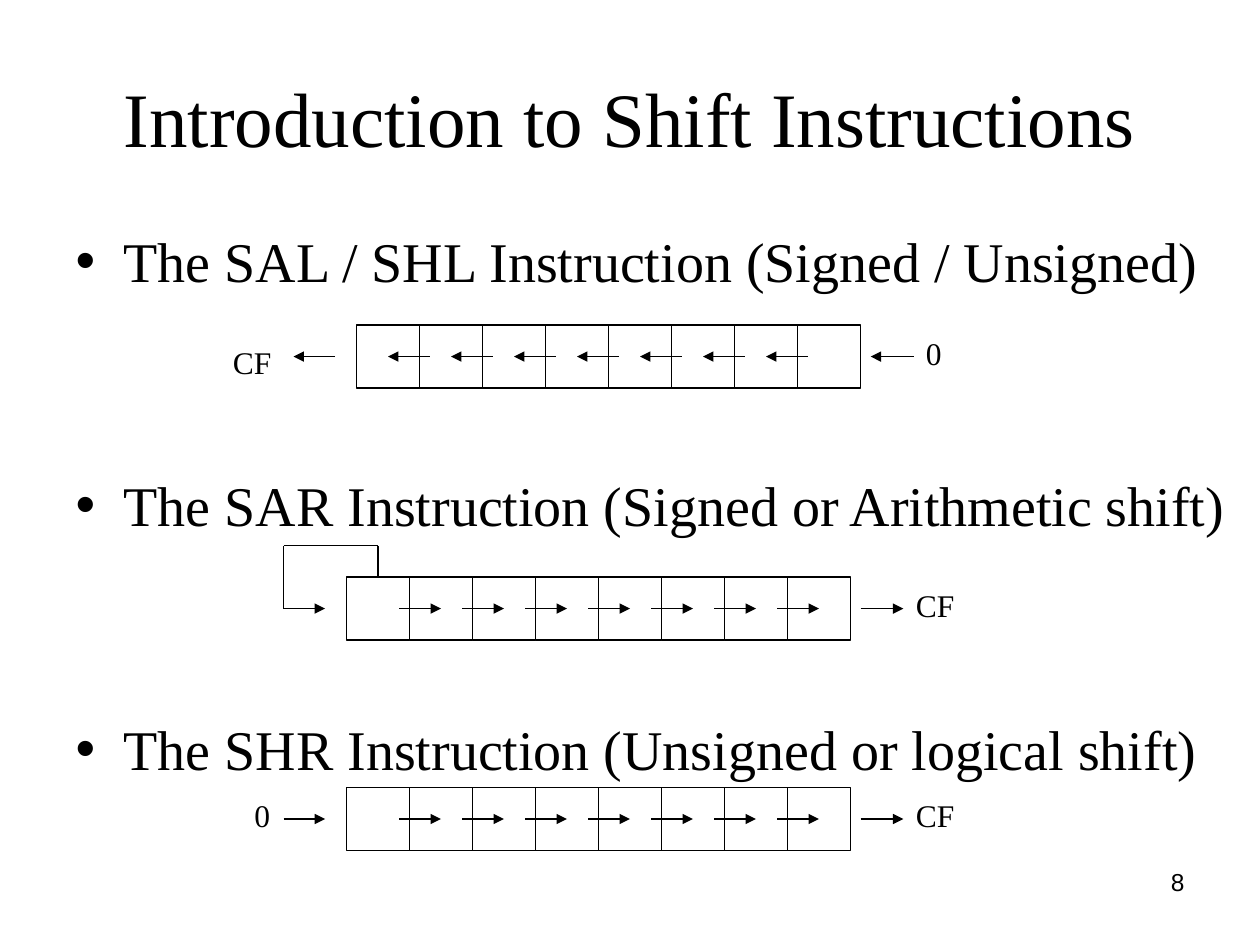
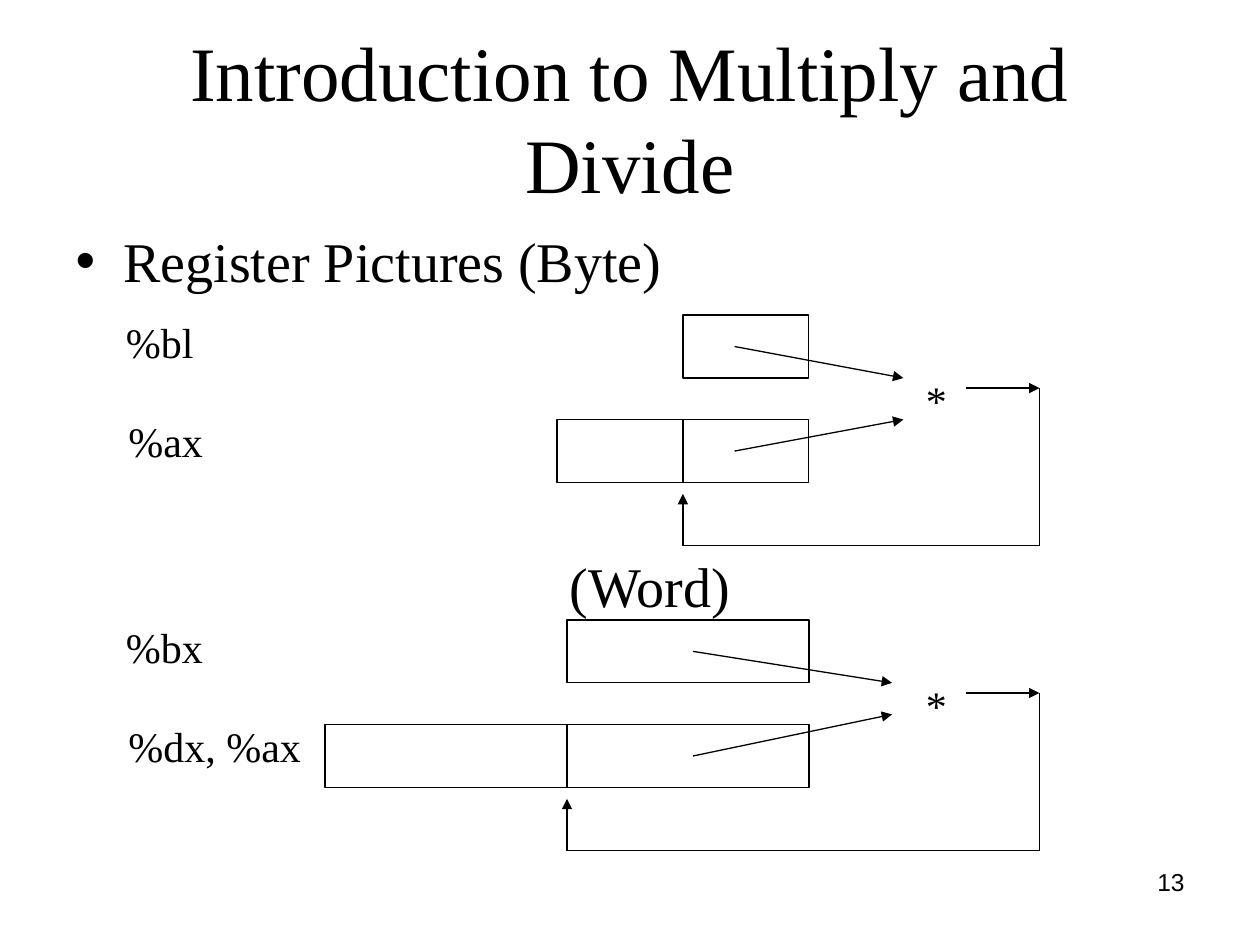
from dataclasses import dataclass

from lxml.etree import SubElement
from pptx import Presentation
from pptx.dml.color import RGBColor
from pptx.enum.shapes import MSO_CONNECTOR, MSO_SHAPE
from pptx.enum.text import MSO_ANCHOR, MSO_AUTO_SIZE, PP_ALIGN
from pptx.oxml.ns import qn
from pptx.util import Inches, Pt


@dataclass(frozen=True)
class Theme:
    ink: RGBColor = RGBColor(0, 0, 0)
    serif: str = "Times New Roman"
    sans: str = "Arial"
    title: int = 44
    body: int = 32
    register: int = 24
    bit: int = 18
    number: int = 14
    line: float = 0.75


CELL = 0.5
BITS = 8
ROW_STEP = 0.83
FEEDBACK_X = 8.25


class Deck:
    """Holds the theme and the slide that is being drawn."""

    def __init__(self, prs, theme):
        self.prs, self.theme, self.s = prs, theme, None

    def new_slide(self, title, number):
        self.s = self.prs.slides.add_slide(self.prs.slide_layouts[1])
        self.title(title)
        self.text(number, 7.17, 6.83, 2.33, 0.52, self.theme.number,
                  font=self.theme.sans, align=PP_ALIGN.RIGHT)

    def format(self, p, size, font=None):
        for r in p.runs:
            r.font.size = Pt(size)
            r.font.name = font or self.theme.serif
            r.font.color.rgb = self.theme.ink

    def place(self, sp, left, top, width, height):
        sp.left, sp.top = Inches(left), Inches(top)
        sp.width, sp.height = Inches(width), Inches(height)
        sp.text_frame.auto_size = MSO_AUTO_SIZE.NONE

    def title(self, text):
        sp = self.s.shapes.title
        self.place(sp, 0.5, 0.3, 9, 1.25)
        tf = sp.text_frame
        tf.text = text
        tf.vertical_anchor = MSO_ANCHOR.MIDDLE
        p = tf.paragraphs[0]
        p.alignment = PP_ALIGN.CENTER
        self.format(p, self.theme.title)

    def body(self, lines, gap, width=9):
        """Fill the list; gap is the space in points before each later line."""
        sp = self.s.placeholders[1]
        self.place(sp, 0.5, 1.75, width, 4.95)
        tf = sp.text_frame
        tf.margin_left = Inches(0.1)
        tf.margin_top = Inches(0.05)
        tf.text = "\n".join(lines)
        for i, p in enumerate(tf.paragraphs):
            p.space_before = Pt(gap if i else 8)
            self.format(p, self.theme.body)
            self.indent(p, 0.38, -0.38)
        return tf.paragraphs

    def indent(self, p, left, first):
        pPr = p._p.get_or_add_pPr()
        pPr.set("marL", str(Inches(left)))
        pPr.set("indent", str(Inches(first)))
        return pPr

    def text(self, text, left, top, width, height, size, font=None,
             align=PP_ALIGN.LEFT):
        sp = self.s.shapes.add_textbox(Inches(left), Inches(top),
                                       Inches(width), Inches(height))
        tf = sp.text_frame
        tf.word_wrap = True
        tf.text = text
        tf.paragraphs[0].alignment = align
        self.format(tf.paragraphs[0], size, font)

    def box(self, left, top, width, height=CELL):
        sp = self.s.shapes.add_shape(MSO_SHAPE.RECTANGLE, Inches(left), Inches(top),
                                     Inches(width), Inches(height))
        sp.shadow.inherit = False
        sp.fill.background()
        sp.line.color.rgb = self.theme.ink
        sp.line.width = Pt(self.theme.line)
        return sp

    def line(self, x1, y1, x2, y2, arrow=False):
        c = self.s.shapes.add_connector(MSO_CONNECTOR.STRAIGHT, Inches(x1), Inches(y1),
                                        Inches(x2), Inches(y2))
        c.line.color.rgb = self.theme.ink
        c.line.width = Pt(self.theme.line)
        if arrow:
            SubElement(c.line._get_or_add_ln(), qn("a:tailEnd"), type="triangle")
        SubElement(c._element.spPr, qn("a:effectLst"))
        return c

    def arrow(self, x1, y1, x2, y2):
        return self.line(x1, y1, x2, y2, arrow=True)

    def bit_label(self, text, left, top):
        self.text(text, left, top, 0.6 if len(text) > 1 else 0.35, 0.4, self.theme.bit)

    def shift_register(self, left, top, step, right_label):
        """Draw the bits and their arrows; step is 1 for right and -1 for left."""
        right, mid = left + BITS * CELL, top + CELL / 2
        cells = [self.box(left + i * CELL, top, CELL) for i in range(BITS)]
        for i in range(1, BITS):
            edge = left + i * CELL
            self.arrow(edge - step * 0.08, mid, edge + step * 0.25, mid)
        for near, far in ((left - 0.5, left - 0.17), (right + 0.08, right + 0.42)):
            self.arrow(*((near, mid, far, mid) if step > 0 else (far, mid, near, mid)))
        self.bit_label(right_label, right + 0.42, top + 0.02)
        return cells

    def multiply(self, names, split, top, width, source_x, star_x, lower_end):
        """Draw two registers whose product returns to the lower pair."""
        lower = top + ROW_STEP
        for x, y in ((split, top), (split, lower), (split - width, lower)):
            self.box(x, y, width)
        for name, x, y in zip(names, (0.9, 0.92), (top - 0.04, top + 0.75)):
            self.text(name, x, y, 1.65, 0.5, self.theme.register)
        self.arrow(source_x, top + 0.25, star_x, top + 0.5)
        self.arrow(source_x, lower + 0.25, star_x, top + lower_end)
        self.text("*", 7.25, top + 0.42, 0.4, 0.5, self.theme.register)
        bottom, out = top + 1.83, top + 0.58
        self.arrow(split, bottom, split, top + 1.42)
        self.line(split, bottom, FEEDBACK_X, bottom)
        self.line(FEEDBACK_X, bottom, FEEDBACK_X, out)
        self.arrow(7.67, out, FEEDBACK_X, out)


def shift_slide(deck):
    deck.new_slide("Introduction to Shift Instructions", "8")
    deck.body(["The SAL / SHL Instruction (Signed / Unsigned)",
               "The SAR Instruction (Signed or Arithmetic shift)",
               "The SHR Instruction (Unsigned or logical shift)"], 100.9, width=9.5)

    deck.shift_register(2.83, 2.58, -1, "0")
    deck.bit_label("CF", 1.75, 2.67)

    sign_bit = deck.shift_register(2.75, 4.58, 1, "CF")[0]
    riser = deck.line(3, 4.58, 3, 4.33)
    riser.begin_connect(sign_bit, 0)
    deck.line(3, 4.33, 2.25, 4.33)
    deck.line(2.25, 4.33, 2.25, 4.83)

    deck.shift_register(2.75, 6.25, 1, "CF")
    deck.bit_label("0", 1.92, 6.27)


def multiply_slide(deck):
    deck.new_slide("Introduction to Multiply and Divide", "13")
    word = deck.body(["Register Pictures (Byte)", "(Word)"], 147.2)[1]
    SubElement(deck.indent(word, 3.92, 0), qn("a:buNone"))
    deck.multiply(("%bl", "%ax"), 5.42, 2.5, 1, 5.83, 7.17, 0.83)
    deck.multiply(("%bx", "%dx, %ax"), 4.5, 4.92, 1.92, 5.5, 7.08, 0.75)


def main():
    prs = Presentation()
    prs.slide_width, prs.slide_height = Inches(10), Inches(7.5)
    deck = Deck(prs, Theme())
    shift_slide(deck)
    multiply_slide(deck)
    prs.save("out.pptx")


if __name__ == "__main__":
    main()
